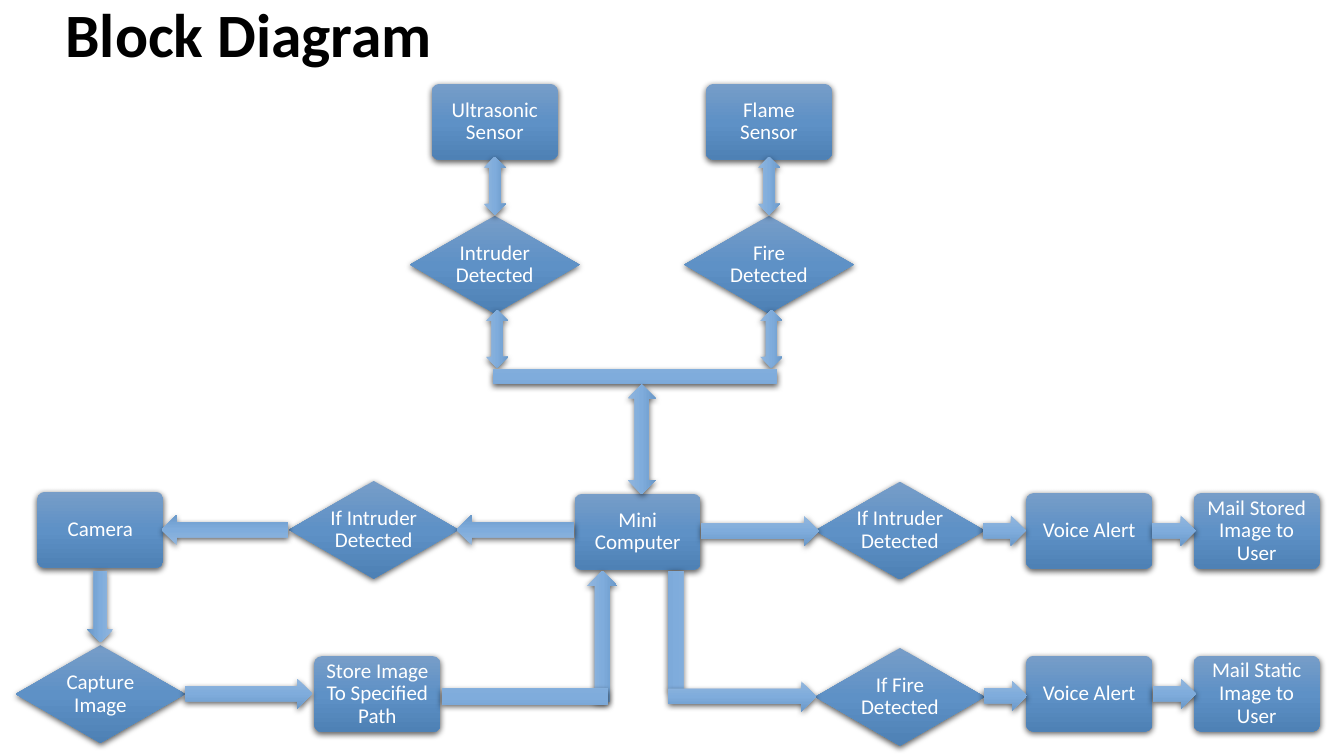
"""Build the block diagram slide of a sensor alarm system."""
from dataclasses import dataclass

from lxml import etree
from pptx import Presentation
from pptx.dml.color import RGBColor
from pptx.enum.shapes import MSO_SHAPE
from pptx.enum.text import MSO_ANCHOR, PP_ALIGN
from pptx.oxml import parse_xml
from pptx.oxml.ns import nsdecls, qn
from pptx.util import Cm, Pt

BOX = MSO_SHAPE.ROUNDED_RECTANGLE
DIAMOND = MSO_SHAPE.DIAMOND
ARROW = MSO_SHAPE.RIGHT_ARROW
DOUBLE = MSO_SHAPE.LEFT_RIGHT_ARROW
BAR = MSO_SHAPE.MATH_MINUS
MIDDLE = MSO_ANCHOR.MIDDLE
CENTER = PP_ALIGN.CENTER


@dataclass(frozen=True)
class Theme:
    """Colours, fonts and type sizes of the slide."""
    font: str = "Calibri"
    title_size: int = 44
    label_size: int = 15
    title_color: str = "000000"
    label_color: str = "FFFFFF"
    shadow_color: str = "000000"
    node_shades: tuple = ("779DC8", "5E91C6", "4E81B5")
    flow_shades: tuple = ("92B6DD", "7FACDC", "6B99C9")


THEME = Theme()
NODE_SIZE = {BOX: (3.18, 1.91), DIAMOND: (4.27, 2.46)}
LABEL_SIZE = {BOX: (3.07, 1.8), DIAMOND: (2.59, 1.37)}
THICK = 0.76

SENSOR_COLUMNS = (
    (12.47, "Ultrasonic Sensor", "Intruder Detected"),
    (19.38, "Flame Sensor", "Fire Detected"),
)
NODES = (
    (BOX, 16.07, 13.4, "Mini Computer"),
    (DIAMOND, 9.42, 13.35, "If Intruder Detected"),
    (BOX, 2.53, 13.35, "Camera"),
    (DIAMOND, 2.53, 17.49, "Capture Image"),
    (BOX, 9.51, 17.49, "Store Image To Specified Path"),
)
ALERT_ROWS = (
    (13.37, 13.38, "If Intruder Detected", "Mail Stored Image to User"),
    (17.56, 17.48, "If Fire Detected", "Mail Static Image to User"),
)
FLOWS = (
    (BAR, 16, 9.49, 9.75, 1.55, 0),
    (DOUBLE, 16.17, 11.07, 2.77, 0.71, 270),
    (ARROW, 2.53, 15.29, 1.8, 0.66, 90),
    (ARROW, 5.67, 13.35, 3.2, THICK, 180),
    (ARROW, 12.99, 13.35, 2.97, THICK, 180),
    (ARROW, 19.16, 13.38, 2.97, THICK, 0),
    (BAR, 17.03, 15.9, 4.14, 1.63, 90),
    (ARROW, 15.18, 16.03, 3.3, THICK, 270),
    (ARROW, 18.71, 17.55, 3.73, THICK, 0),
    (ARROW, 25.31, 13.37, 1.09, THICK, 0),
    (ARROW, 25.34, 17.53, 1.09, THICK, 0),
    (ARROW, 29.59, 13.37, 1.09, THICK, 0),
    (ARROW, 29.6, 17.48, 1.09, THICK, 0),
    (ARROW, 6.27, 17.48, 3.2, THICK, 0),
    (BAR, 13.23, 17.55, 5.69, 1.68, 0),
)


def frame(x, y, width, height):
    """Return left, top, width and height around a centre given in cm."""
    return Cm(x - width / 2), Cm(y - height / 2), Cm(width), Cm(height)


def apply_gradient(shape, shades):
    """Fill a shape with three shades from top to bottom."""
    shape.fill.gradient()
    shape.fill.gradient_angle = 270
    stops = shape._element.spPr.find(qn("a:gradFill")).find(qn("a:gsLst"))
    for stop in list(stops):
        stops.remove(stop)
    for index, shade in enumerate(shades):
        stop = etree.SubElement(stops, qn("a:gs"), pos=str(index * 50000))
        etree.SubElement(stop, qn("a:srgbClr"), val=shade)


def apply_shadow(shape):
    """Give a shape a soft shadow below it."""
    shape.shadow.inherit = False
    effects = shape._element.spPr.find(qn("a:effectLst"))
    effects.append(parse_xml(
        f'<a:outerShdw {nsdecls("a")} blurRad="57150" dist="19050" dir="5400000" '
        f'algn="ctr" rotWithShape="0"><a:srgbClr val="{THEME.shadow_color}">'
        '<a:alpha val="63000"/></a:srgbClr></a:outerShdw>'))


def add_block(shapes, kind, area, shades):
    """Add a shaded shape without an outline."""
    shape = shapes.add_shape(kind, *area)
    apply_gradient(shape, shades)
    shape.line.fill.background()
    apply_shadow(shape)
    return shape


def add_text(shapes, area, text, size, color, bold=False):
    """Add a wrapping text box with one paragraph."""
    box = shapes.add_textbox(*area)
    box.text_frame.word_wrap = True
    para = box.text_frame.paragraphs[0]
    para.text = text
    para.line_spacing = 0.9
    para.font.name = THEME.font
    para.font.size = Pt(size)
    para.font.bold = bold
    para.font.color.rgb = RGBColor.from_string(color)
    return box


def add_node(page, kind, x, y, text):
    """Add a labelled box or diamond as one group."""
    shapes = page.shapes.add_group_shape().shapes
    block = add_block(shapes, kind, frame(x, y, *NODE_SIZE[kind]), THEME.node_shades)
    if kind == BOX:
        block.adjustments[0] = 0.1
    label = add_text(shapes, frame(x, y, *LABEL_SIZE[kind]), text,
                     THEME.label_size, THEME.label_color)
    body = label.text_frame
    body.margin_left = body.margin_right = Cm(0.15)
    body.margin_top = body.margin_bottom = Cm(0.15)
    body.vertical_anchor = MIDDLE
    body.paragraphs[0].alignment = CENTER


def add_flow(page, kind, x, y, length, thickness, rotation):
    """Add an arrow or bar centred on a point and turned."""
    flow = add_block(page.shapes, kind, frame(x, y, length, thickness), THEME.flow_shades)
    flow.rotation = rotation


def add_sensor_column(page, x, sensor, decision):
    """Add a sensor, its decision and the arrows below them."""
    add_node(page, DIAMOND, x, 6.67, decision)
    add_node(page, BOX, x, 3.07, sensor)
    add_flow(page, DOUBLE, x + 0.06, 8.54, 1.47, 0.56, 270)
    add_flow(page, DOUBLE, x, 4.68, 1.47, 0.56, 270)


def add_alert_row(page, decision_y, y, decision, mail):
    """Add a decision with its voice alert and mail."""
    add_node(page, DIAMOND, 22.68, decision_y, decision)
    add_node(page, BOX, 27.45, y, "Voice Alert")
    add_node(page, BOX, 31.67, y, mail)


def main():
    """Build and save the slide."""
    deck = Presentation()
    deck.slide_width, deck.slide_height = Cm(33.87), Cm(19.05)
    page = deck.slides.add_slide(deck.slide_layouts[6])
    for column in SENSOR_COLUMNS:
        add_sensor_column(page, *column)
    for node in NODES:
        add_node(page, *node)
    for row in ALERT_ROWS:
        add_alert_row(page, *row)
    for flow in FLOWS:
        add_flow(page, *flow)
    add_text(page.shapes, (Cm(1.4), Cm(-0.02), Cm(29.21), Cm(3.68)), "Block Diagram",
             THEME.title_size, THEME.title_color, bold=True)
    deck.save("out.pptx")


if __name__ == "__main__":
    main()
